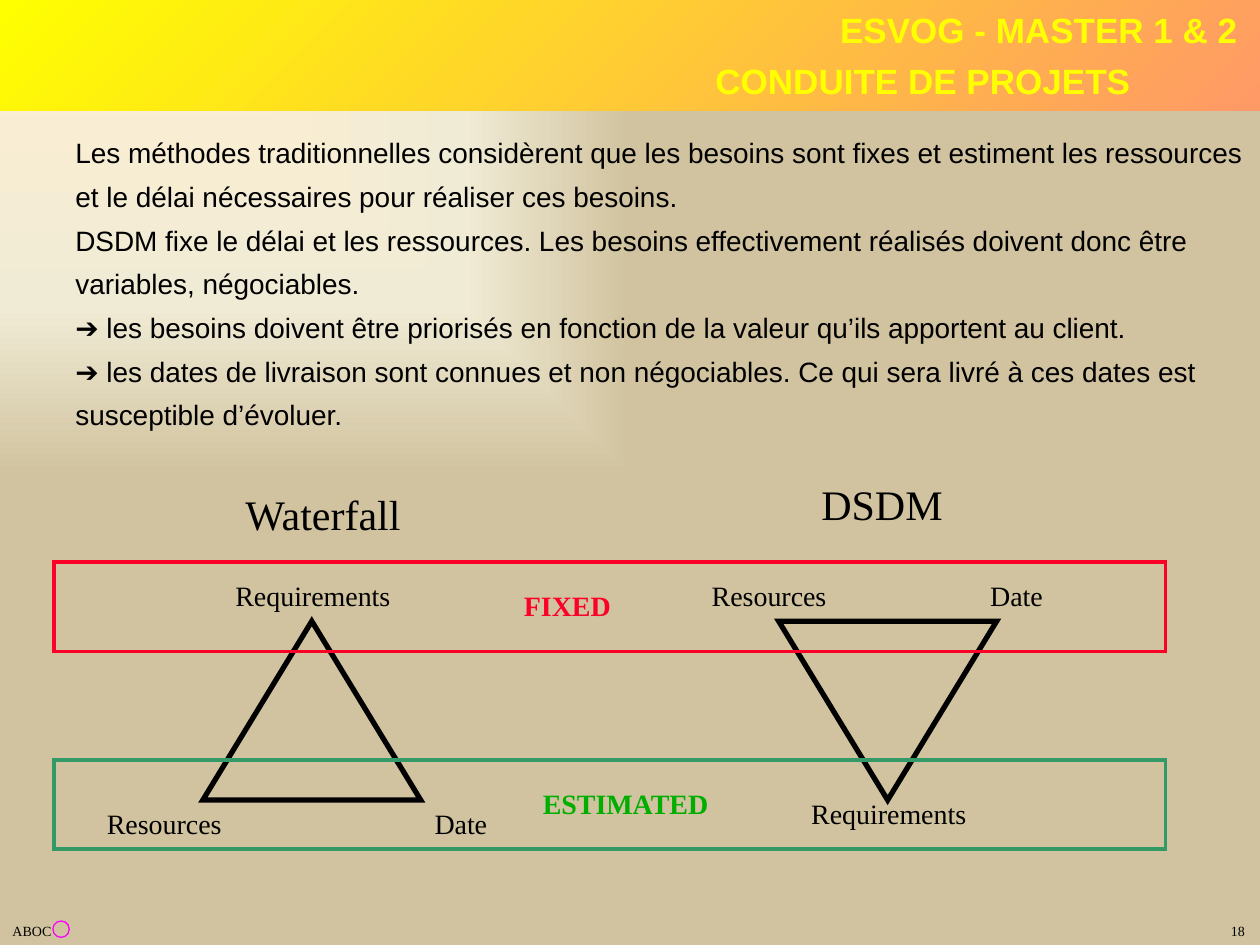
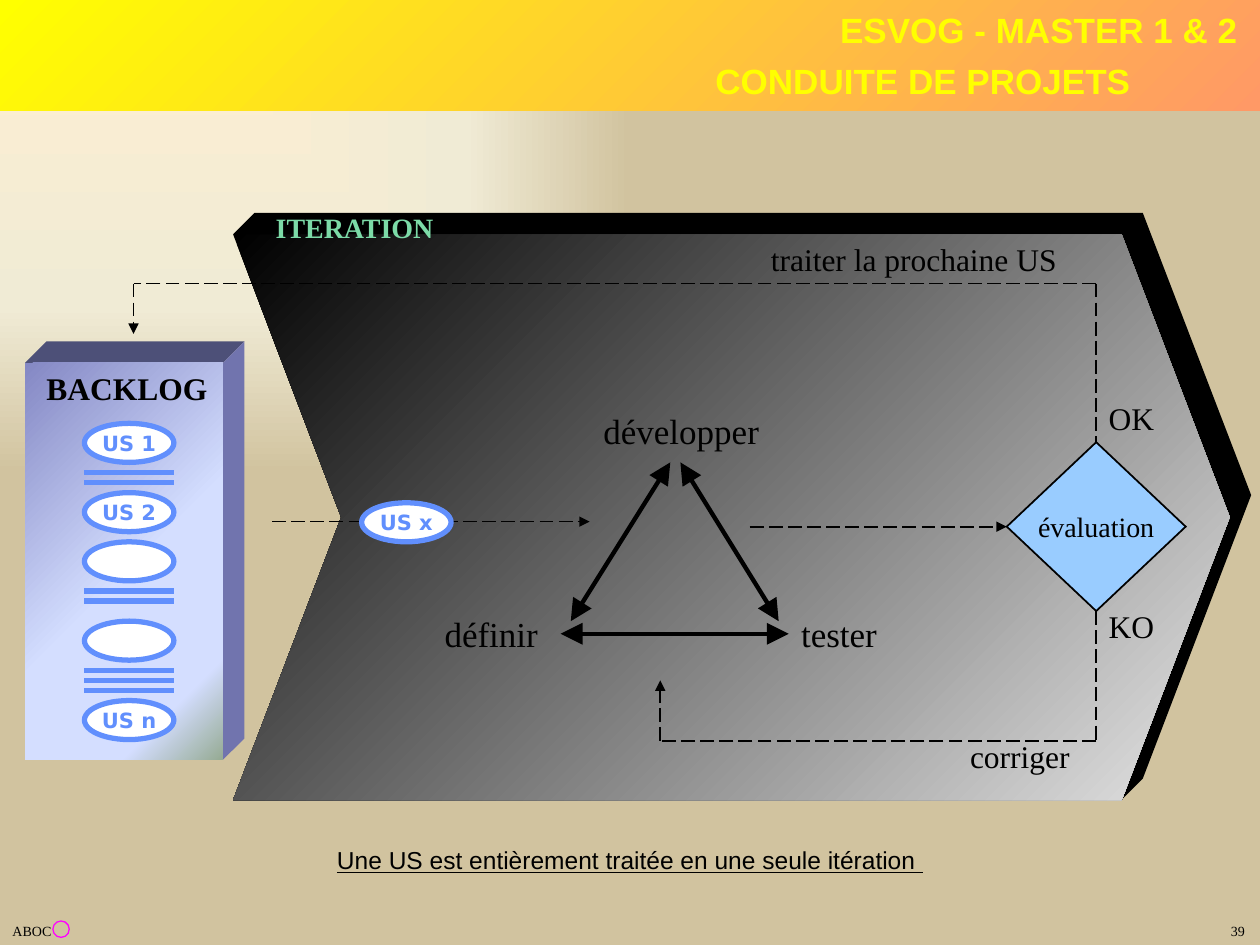
from pptx import Presentation
from pptx.dml.color import RGBColor
from pptx.enum.dml import MSO_LINE
from pptx.enum.shapes import MSO_CONNECTOR, MSO_SHAPE as Kind
from pptx.enum.text import MSO_ANCHOR, MSO_AUTO_SIZE as Auto, PP_ALIGN as Align
from pptx.oxml import parse_xml
from pptx.oxml.ns import nsdecls, qn
from pptx.util import Inches, Pt

BLACK = RGBColor(0x00, 0x00, 0x00)
WHITE = RGBColor(0xFF, 0xFF, 0xFF)
YELLOW = RGBColor(0xFF, 0xFF, 0x00)
PINK = RGBColor(0xFF, 0x00, 0xFF)
RED = RGBColor(0xFC, 0x01, 0x28)
TEAL = RGBColor(0x33, 0x99, 0x66)
GREEN = RGBColor(0x00, 0xAE, 0x00)
MINT = RGBColor(0x7C, 0xDA, 0xA7)
SKY = RGBColor(0x99, 0xCC, 0xFF)
BLUE = RGBColor(0x61, 0x8F, 0xFD)
SLATE = RGBColor(0x4D, 0x50, 0x78)
LILAC = RGBColor(0x71, 0x74, 0xAE)
ORANGE = RGBColor(0xFF, 0x99, 0x66)
SILVER = RGBColor(0xE6, 0xE6, 0xE6)
CREAM = RGBColor(0xFF, 0xEF, 0xD1)
IVORY = RGBColor(0xF0, 0xEB, 0xD5)
SAND = RGBColor(0xD1, 0xC3, 0x9F)
VIOLET = RGBColor(0x84, 0x88, 0xC4)
PALE = RGBColor(0xD4, 0xDE, 0xFF)
SAGE = RGBColor(0x96, 0xAB, 0x94)

SERIF, SANS, ROUND = "Times New Roman", "Arial", "DejaVu Sans"
SLANT = '<a:lin ang="2700000" scaled="0"/>'
CORNER = '<a:path path="rect"><a:fillToRect r="100000" b="100000"/></a:path>'


def form(slide, kind, box, fill=None, line=None, width=1):
    shape = slide.shapes.add_shape(kind, *map(Inches, box))
    shape.shadow.inherit = False
    if fill is None:
        shape.fill.background()
    else:
        shape.fill.solid()
        shape.fill.fore_color.rgb = fill
    if line is None:
        shape.line.fill.background()
    else:
        shape.line.color.rgb = line
        shape.line.width = Pt(width)
        shape.line._get_or_add_ln().append(
            parse_xml(f'<a:miter {nsdecls("a")} lim="800000"/>'))
    return shape


def write(host, words, size, box=None, face=SERIF, color=BLACK, bold=None,
          align=Align.LEFT, wrap=False, space=None, under=None):
    if box:
        host = host.shapes.add_textbox(*map(Inches, box))
    frame = host.text_frame
    frame.text = words
    frame.word_wrap = wrap
    if box:
        frame.auto_size = Auto.SHAPE_TO_FIT_TEXT
    else:
        frame.vertical_anchor = MSO_ANCHOR.MIDDLE
    for para in frame.paragraphs:
        para.alignment = align
        para.line_spacing = space
        for run in para.runs:
            font = run.font
            font.name, font.size, font.bold = face, Pt(size), bold
            font.underline = under
            font.color.rgb = color


deck = Presentation()
deck.slide_width, deck.slide_height = Inches(10), Inches(7.5)
master = deck.slide_master
tints = [(master.background.fill, master.element,
          [(0, CREAM), (65, IVORY), (100, SAND)], CORNER)]

pages = []
for number in ("18", "39"):
    page = deck.slides.add_slide(deck.slide_layouts[6])
    pages.append(page)
    band = form(page, Kind.RECTANGLE, (0, 0, 10, 0.88), YELLOW)
    tints.append((band.fill, band.element, [(0, YELLOW), (100, ORANGE)], SLANT))
    for words, top, width in (("ESVOG - MASTER 1 & 2", 0.02, 4.92),
                              ("CONDUITE DE PROJETS", 0.42, 4.07)):
        write(page, words, 20, (5, top, width, 0.42), SANS, YELLOW, True,
              Align.RIGHT, True)
    write(page, number, 8, (9.67, 7.27, 0.4, 0.23))
    write(page, "ABOC", 8, (0, 7.27, 0.55, 0.23))
    form(page, Kind.OVAL, (0.42, 7.31, 0.13, 0.13), None, PINK, 0.75)

first, second = pages

story = [
    "Les méthodes traditionnelles considèrent que les besoins sont fixes et estiment les ressources et le délai nécessaires pour réaliser ces besoins.",
    "DSDM fixe le délai et les ressources. Les besoins effectivement réalisés doivent donc être variables, négociables.",
    "➔ les besoins doivent être priorisés en fonction de la valeur qu’ils apportent au client.",
    "➔ les dates de livraison sont connues et non négociables. Ce qui sera livré à ces dates est susceptible d’évoluer.",
]
write(first, "\n".join(story), 16, (0.5, 0.95, 9.5, 3.23), SANS,
      wrap=True, space=1.3)

for left, turn in ((1.61, 0), (6.18, 180)):
    peak = form(first, Kind.ISOSCELES_TRIANGLE, (left, 4.93, 1.73, 1.42),
                None, BLACK, 3)
    peak.rotation = turn

for words, left, top, width in (("Waterfall", 1.85, 3.83, 1.46),
                                ("DSDM", 6.42, 3.75, 1.17)):
    write(first, words, 24, (left, top, width, 0.5))

for words, left, top, width in (
        ("Requirements", 1.77, 4.54, 1.44), ("Date", 3.35, 6.35, 0.62),
        ("Resources", 0.75, 6.35, 1.12), ("Requirements", 6.34, 6.27, 1.44),
        ("Date", 7.76, 4.54, 0.62), ("Resources", 5.55, 4.54, 1.12)):
    write(first, words, 16, (left, top, width, 0.37))

for words, left, width, top, tone, edge in (
        ("FIXED", 4.06, 0.89, 4.46, RED, RED),
        ("ESTIMATED", 4.21, 1.53, 6.03, GREEN, TEAL)):
    form(first, Kind.RECTANGLE, (0.43, top, 8.82, 0.71), None, edge, 2)
    write(first, words, 16, (left, top + 0.16, width, 0.37), color=tone, bold=True)

write(second, "Une US est entièrement traitée en une seule itération ", 14,
      (0, 6.59, 10, 0.4), SANS, align=Align.CENTER, wrap=True, space=1.3,
      under=True)

for tone, spots in (
        (BLACK, [(1.85, 1.86), (2.02, 1.69), (9.07, 1.69), (9.93, 3.93),
                 (9.07, 6.18), (8.9, 6.35)]),
        (SLATE, [(0.2, 2.88), (0.37, 2.71), (1.94, 2.71), (1.77, 2.88)]),
        (LILAC, [(1.77, 2.88), (1.94, 2.71), (1.94, 5.86), (1.77, 6.03)])):
    spots = [(Inches(x), Inches(y)) for x, y in spots]
    pen = second.shapes.build_freeform(*spots[0])
    pen.add_line_segments(spots[1:])
    side = pen.convert_to_shape()
    side.shadow.inherit = False
    side.fill.solid()
    side.fill.fore_color.rgb = tone
    side.line.fill.background()

arrow = form(second, Kind.CHEVRON, (1.85, 1.86, 7.91, 4.49), BLACK)
arrow.adjustments[0] = 0.191
store = form(second, Kind.RECTANGLE, (0.2, 2.88, 1.57, 3.15), PALE)
tints += [
    (arrow.fill, arrow.element, [(0, BLACK), (100, SILVER)], SLANT),
    (store.fill, store.element,
     [(0, VIOLET), (53, PALE), (83, PALE), (100, SAGE)], SLANT),
]

for words, size, left, top, width in (
        ("définir", 20, 3.43, 4.81, 0.94), ("développer", 20, 4.69, 3.2, 1.5),
        ("tester", 20, 6.26, 4.81, 0.8),
        ("traiter la prochaine US", 18, 6.02, 1.86, 2.47),
        ("corriger", 18, 7.6, 5.8, 0.99),
        ("KO", 18, 8.7, 4.77, 0.56), ("OK", 18, 8.7, 3.12, 0.56)):
    write(second, words, size, (left, top, width, 0.4))
write(second, "BACKLOG", 18, (0.27, 2.88, 1.48, 0.4), bold=True)
write(second, "ITERATION", 16, (2.09, 1.62, 1.57, 0.37), color=MINT, bold=True)

check = form(second, Kind.DIAMOND, (7.99, 3.51, 1.42, 1.34), SKY, BLACK)
write(check, "évaluation", 16, align=Align.CENTER)

both, end, none = ("headEnd", "tailEnd"), ("tailEnd",), ()
links = [
    (4.53, 4.93, 5.32, 3.67, BLACK, 2.5, both),
    (4.45, 5.03, 6.26, 5.03, BLACK, 2.5, both),
    (5.4, 3.67, 6.18, 4.93, BLACK, 2.5, both),
    (5.95, 4.18, 7.99, 4.18, BLACK, 1, end),
    (8.7, 2.25, 1.06, 2.25, BLACK, 1, none),
    (1.06, 2.25, 1.06, 2.65, BLACK, 1, end),
    (8.7, 2.25, 8.7, 3.51, BLACK, 1, none),
    (8.7, 4.85, 8.7, 5.88, BLACK, 1, none),
    (8.7, 5.88, 5.24, 5.88, BLACK, 1, none),
    (5.24, 5.88, 5.24, 5.4, BLACK, 1, end),
    (2.16, 4.14, 4.68, 4.14, BLACK, 1, end),
]
links += [(0.67, y, 1.38, y, BLUE, 3, none)
          for y in (3.75, 3.83, 4.69, 4.77, 5.32, 5.4, 5.48)]
for *ends, tone, width, tips in links:
    link = second.shapes.add_connector(MSO_CONNECTOR.STRAIGHT, *map(Inches, ends))
    link.line.color.rgb = tone
    link.line.width = Pt(width)
    if width == 1:
        link.line.dash_style = MSO_LINE.LONG_DASH
    scale = "lg" if tips == both else "med"
    for tip in tips:
        link.line._get_or_add_ln().append(parse_xml(
            f'<a:{tip} {nsdecls("a")} type="triangle" w="{scale}" len="{scale}"/>'))
    link.element.spPr.append(parse_xml(f'<a:effectLst {nsdecls("a")}/>'))

for words, left, top in (("US 1", 0.67, 3.36), ("US 2", 0.67, 3.91),
                         ("", 0.67, 4.3), ("", 0.67, 4.93),
                         ("US n", 0.67, 5.56), ("US x", 2.87, 3.99)):
    oval = form(second, Kind.OVAL, (left, top, 0.71, 0.31), WHITE, BLUE, 3)
    if words:
        write(oval, words, 12, face=ROUND, color=BLUE, bold=True,
              align=Align.CENTER)

for fill, root, stops, way in tints:
    fill.gradient()
    grad = root.find(".//" + qn("a:gradFill"))
    marks = "".join(f'<a:gs pos="{pos * 1000}"><a:srgbClr val="{tone}"/></a:gs>'
                    for pos, tone in stops)
    grad.getparent().replace(grad, parse_xml(
        f'<a:gradFill {nsdecls("a")} rotWithShape="1">'
        f'<a:gsLst>{marks}</a:gsLst>{way}</a:gradFill>'))

deck.save("out.pptx")
